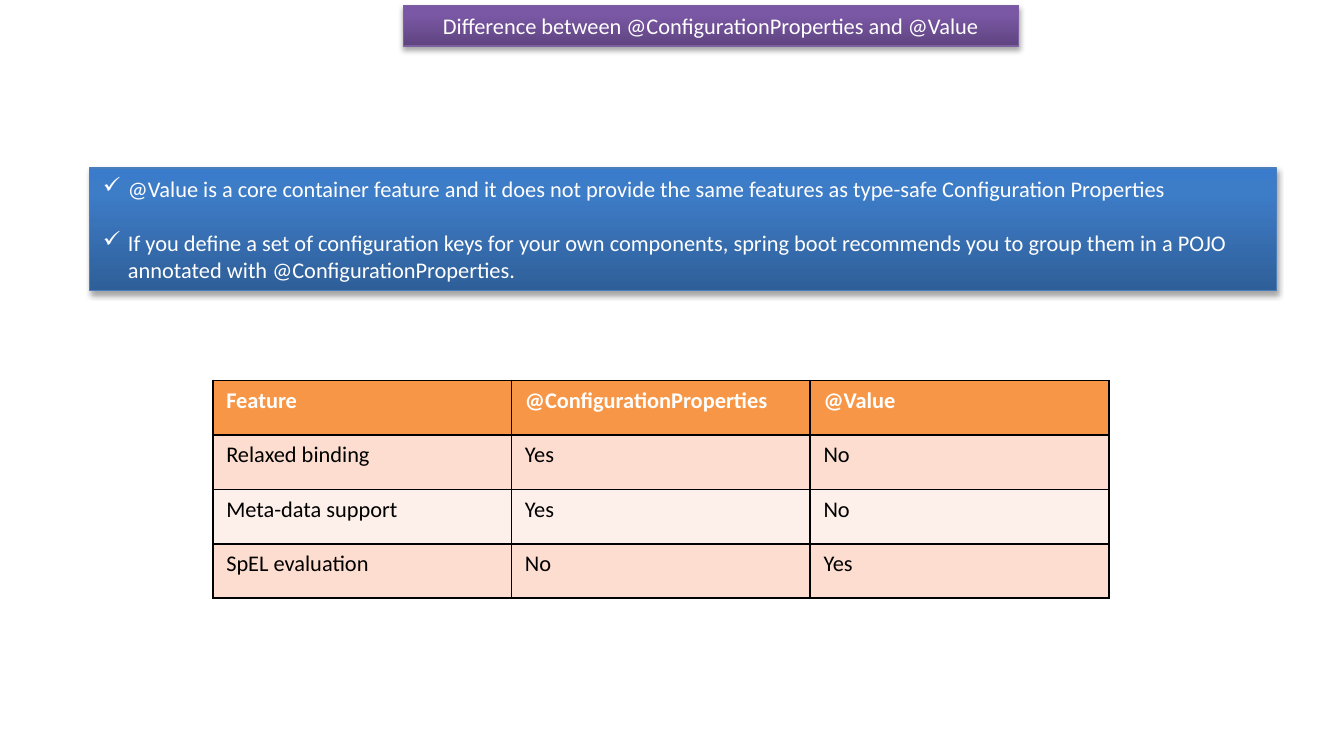
from pptx import Presentation
from pptx.dml.color import RGBColor
from pptx.enum import shapes, text
from pptx.oxml import parse_xml
from pptx.oxml.ns import nsdecls
from pptx.util import Pt

TITLE = ["Difference between @ConfigurationProperties and @Value"]
NOTES = [
    "@Value is a core container feature and it does not provide the same features "
    "as type-safe Configuration Properties",
    "If you define a set of configuration keys for your own components, spring boot "
    "recommends you to group them in a POJO annotated with @ConfigurationProperties.",
]
FEATURES = [
    ("Feature", "@ConfigurationProperties", "@Value"),
    ("Relaxed binding", "Yes", "No"),
    ("Meta-data support", "Yes", "No"),
    ("SpEL evaluation", "No", "Yes"),
]
THEME = {
    "font": "Calibri", "size": 12, "light": "FFFFFF", "dark": "000000",
    "purple": {"line": "7D60A0", "stops": [(0, "5F4480"), (80, "7B58A6"), (100, "7C57A8")]},
    "blue": {"line": "4B7EBC", "stops": [(0, "2F5F99"), (80, "3D7CC7"), (100, "3A7CCB")]},
    "header": "F79646", "bands": ("FDEFE9", "FCDDCF"), "border": "000000",
}
TITLE_BOX = (216, 2.9, 329.8, 21.8)
NOTES_BOX = (48, 90, 636, 65.8)
TABLE_BOX = (114, 203.8, 480, 116.8)
INDENT, NOTE_GAP = 13.5, 14.6


def set_font(p, color, bold=False):
    values = {"name": THEME["font"], "size": Pt(THEME["size"]), "bold": bold}
    for r in p.runs:
        for key, value in values.items():
            setattr(r.font, key, value)
        r.font.color.rgb = RGBColor.from_string(color)


def add_check(p):
    """Give the paragraph a hanging check-mark bullet."""
    pPr = p._p.get_or_add_pPr()
    pPr.set("marL", str(Pt(INDENT)))
    pPr.set("indent", str(-Pt(INDENT)))
    pPr.append(parse_xml(f'<a:buFont {nsdecls("a")} typeface="Wingdings"/>'))
    pPr.append(parse_xml(f'<a:buChar {nsdecls("a")} char="ü"/>'))


def add_panel(s, box, look, lines, bullets=False):
    """Add a rectangle with an upward gradient, a soft shadow and text."""
    sp = s.shapes.add_shape(shapes.MSO_SHAPE.RECTANGLE, *map(Pt, box))
    sp.line.color.rgb = RGBColor.from_string(look["line"])
    sp.line.width = Pt(0.75)
    stops = "".join(f'<a:gs pos="{pos * 1000}"><a:srgbClr val="{color}"/></a:gs>'
                    for pos, color in look["stops"])
    spPr = sp._element.spPr
    spPr.ln.addprevious(parse_xml(
        f'<a:gradFill {nsdecls("a")} rotWithShape="1"><a:gsLst>{stops}</a:gsLst>'
        '<a:lin ang="16200000" scaled="0"/></a:gradFill>'))
    spPr.append(parse_xml(
        f'<a:effectLst {nsdecls("a")}><a:outerShdw blurRad="{Pt(3.1)}" dist="{Pt(1.8)}" '
        'dir="5400000" rotWithShape="0"><a:srgbClr val="000000"><a:alpha val="35000"/>'
        '</a:srgbClr></a:outerShdw></a:effectLst>'))

    tf = sp.text_frame
    tf.word_wrap = True
    for i, line in enumerate(lines):
        p = tf.paragraphs[0] if i == 0 else tf.add_paragraph()
        p.text = line
        p.alignment = text.PP_ALIGN.LEFT if bullets else text.PP_ALIGN.CENTER
        if i:
            p.space_before = Pt(NOTE_GAP)
        if bullets:
            add_check(p)
        set_font(p, THEME["light"])


def add_borders(cell):
    tcPr = cell._tc.get_or_add_tcPr()
    for i, side in enumerate(("lnL", "lnR", "lnT", "lnB")):
        tcPr.insert(i, parse_xml(
            f'<a:{side} {nsdecls("a")} w="{Pt(1)}"><a:solidFill>'
            f'<a:srgbClr val="{THEME["border"]}"/></a:solidFill></a:{side}>'))


def add_features(s):
    rows, cols = len(FEATURES), len(FEATURES[0])
    table = s.shapes.add_table(rows, cols, *map(Pt, TABLE_BOX)).table
    for col in table.columns:
        col.width = Pt(TABLE_BOX[2] / cols)
    for i, values in enumerate(FEATURES):
        table.rows[i].height = Pt(TABLE_BOX[3] / rows)
        header = i == 0
        fill = THEME["header"] if header else THEME["bands"][i % 2]
        for j, value in enumerate(values):
            cell = table.cell(i, j)
            cell.text = value
            cell.fill.solid()
            cell.fill.fore_color.rgb = RGBColor.from_string(fill)
            set_font(cell.text_frame.paragraphs[0],
                     THEME["light"] if header else THEME["dark"], header)
            add_borders(cell)


def main():
    prs = Presentation()
    prs.slide_width, prs.slide_height = Pt(720), Pt(396)
    s = prs.slides.add_slide(prs.slide_layouts[6])
    add_panel(s, TITLE_BOX, THEME["purple"], TITLE)
    add_panel(s, NOTES_BOX, THEME["blue"], NOTES, bullets=True)
    add_features(s)
    prs.save("out.pptx")


if __name__ == "__main__":
    main()
